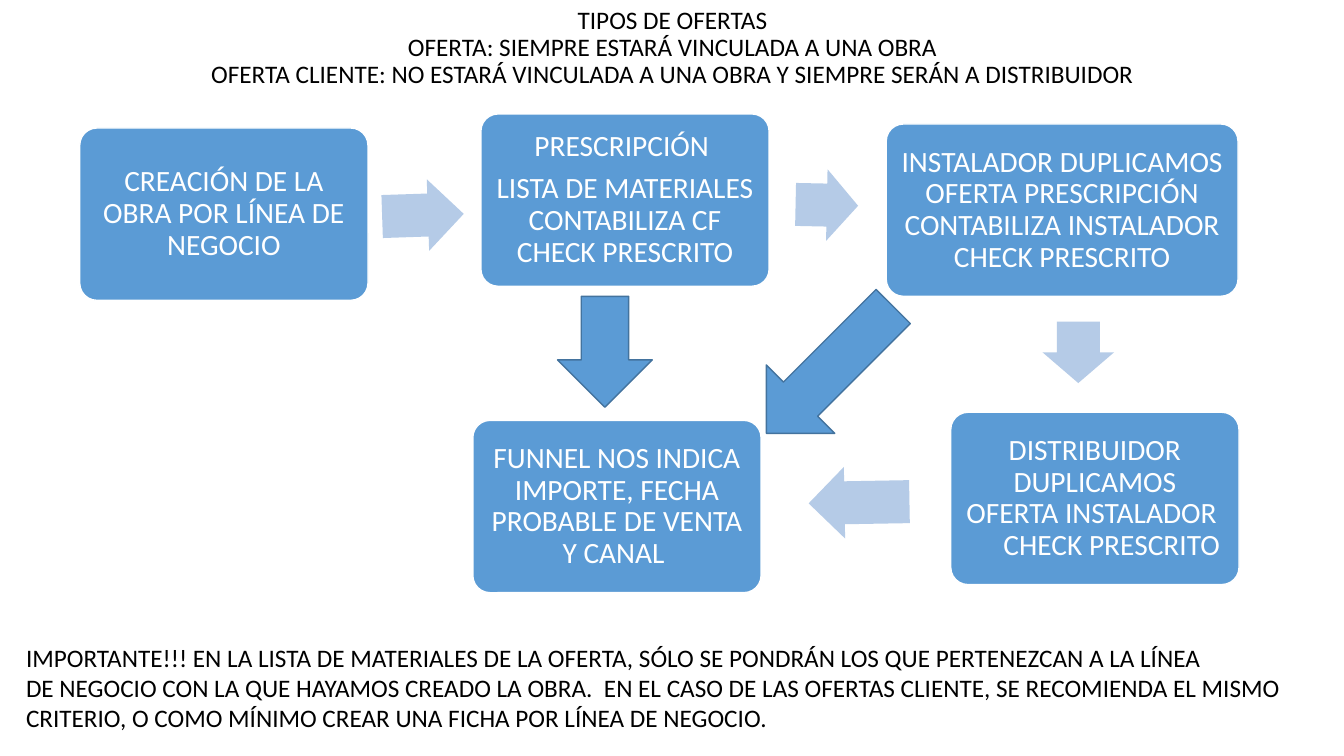
from dataclasses import dataclass

from pptx import Presentation
from pptx.dml.color import RGBColor
from pptx.enum.shapes import MSO_SHAPE
from pptx.enum.text import MSO_ANCHOR, PP_ALIGN
from pptx.util import Inches, Length, Pt

ROUNDED, ARROW = MSO_SHAPE.ROUNDED_RECTANGLE, MSO_SHAPE.RIGHT_ARROW
MIDDLE, TOP = MSO_ANCHOR.MIDDLE, MSO_ANCHOR.TOP
CENTER, LEFT = PP_ALIGN.CENTER, PP_ALIGN.LEFT

BLUE = RGBColor(0x5B, 0x9B, 0xD5)
DARK_BLUE = RGBColor(0x43, 0x73, 0x9E)
PALE_BLUE = RGBColor(0xB5, 0xCB, 0xE7)
WHITE = RGBColor(0xFF, 0xFF, 0xFF)
BLACK = RGBColor(0, 0, 0)

deck = Presentation()
deck.slide_width, deck.slide_height = Inches(13.33), Inches(7.5)
page = deck.slides.add_slide(deck.slide_layouts[6])


def across(share: float) -> Length:
    """Percentage of the slide width."""
    return Length(round(deck.slide_width * share / 100))


def down(share: float) -> Length:
    """Percentage of the slide height."""
    return Length(round(deck.slide_height * share / 100))


@dataclass(frozen=True)
class Step:
    left: float
    top: float
    lines: tuple[str, ...]
    width: float = 21.45
    height: float = 22.8
    gap: float = 7.35        # points after each paragraph
    last_indent: float = 0   # share of the width, last paragraph only


@dataclass(frozen=True)
class Arrow:
    center_x: float
    center_y: float
    length: float            # length and breadth are shares of the height
    turn: float
    breadth: float = 9.47
    shaft: float = 0.6
    fill: RGBColor = PALE_BLUE
    outline: RGBColor | None = None


STEPS = (
    Step(5.93, 16.93, ("CREACIÓN DE LA OBRA POR LÍNEA DE NEGOCIO",)),
    Step(35.78, 15.07, ("PRESCRIPCIÓN ",
                        "LISTA DE MATERIALES CONTABILIZA CF CHECK PRESCRITO")),
    Step(65.94, 16.4, ("INSTALADOR DUPLICAMOS OFERTA PRESCRIPCIÓN "
                       "CONTABILIZA INSTALADOR CHECK PRESCRITO",), width=26.18),
    Step(70.74, 54.53, ("DISTRIBUIDOR DUPLICAMOS OFERTA INSTALADOR ",
                        "CHECK PRESCRITO"), gap=0, last_indent=2.5),
    Step(35.18, 55.6, ("FUNNEL NOS INDICA IMPORTE, FECHA PROBABLE "
                       "DE VENTA Y CANAL ",)),
)

ARROWS = (
    Arrow(31.47, 28.47, 10.8, 358.1),
    Arrow(61.52, 27.13, 8.27, 1.2),
    Arrow(80.23, 46.6, 8.13, 90),
    Arrow(63.92, 66.47, 13.33, 179),
    Arrow(45.01, 46.53, 14.67, 90, 12.53, 0.5, BLUE, DARK_BLUE),
    Arrow(61.74, 48.93, 23.73, 135, 12.8, 0.5, BLUE, DARK_BLUE),
)

TITLE = ("TIPOS DE OFERTAS\v"
         "OFERTA: SIEMPRE ESTARÁ VINCULADA A UNA OBRA\v"
         "OFERTA CLIENTE: NO ESTARÁ VINCULADA A UNA OBRA Y SIEMPRE SERÁN A DISTRIBUIDOR")
NOTE = (
    "IMPORTANTE!!! EN LA LISTA DE MATERIALES DE LA OFERTA, SÓLO SE PONDRÁN "
    "LOS QUE PERTENEZCAN A LA LÍNEA",
    "DE NEGOCIO CON LA QUE HAYAMOS CREADO LA OBRA.  EN EL CASO DE LAS OFERTAS "
    "CLIENTE, SE RECOMIENDA EL MISMO",
    "CRITERIO, O COMO MÍNIMO CREAR UNA FICHA POR LÍNEA DE NEGOCIO.",
)


def write(box, lines: tuple[str, ...], size: float, color: RGBColor,
          align: PP_ALIGN, anchor: MSO_ANCHOR, spacing: float = 1, gap: float = 0) -> None:
    frame = box.text_frame
    frame.word_wrap = True
    frame.vertical_anchor = anchor
    frame.text = "\n".join(lines)
    for para in frame.paragraphs:
        para.alignment = align
        para.line_spacing = spacing
        para.space_after = Pt(gap)
        for span in para.runs:
            span.font.name = "Calibri"
            span.font.size = Pt(size)
            span.font.color.rgb = color


def draw_step(step: Step) -> None:
    card = page.shapes.add_shape(ROUNDED, across(step.left), down(step.top),
                                 across(step.width), down(step.height))
    card.shadow.inherit = False
    card.adjustments[0] = 0.1
    card.fill.solid()
    card.fill.fore_color.rgb = BLUE
    card.line.color.rgb = WHITE
    card.line.width = Pt(1)
    frame = card.text_frame
    frame.margin_left = frame.margin_right = Inches(0.09)
    frame.margin_top = frame.margin_bottom = Inches(0.09)
    write(card, step.lines, 21, WHITE, CENTER, MIDDLE, 0.9, step.gap)
    if step.last_indent:
        properties = frame.paragraphs[-1]._p.get_or_add_pPr()
        properties.set("marL", str(across(step.last_indent)))


def draw_arrow(arrow: Arrow) -> None:
    length, breadth = down(arrow.length), down(arrow.breadth)
    shape = page.shapes.add_shape(ARROW, across(arrow.center_x) - length // 2,
                                  down(arrow.center_y) - breadth // 2, length, breadth)
    shape.shadow.inherit = False
    shape.rotation = arrow.turn
    shape.adjustments[0] = arrow.shaft
    shape.adjustments[1] = 0.5
    shape.fill.solid()
    shape.fill.fore_color.rgb = arrow.fill
    if arrow.outline is None:
        shape.line.fill.background()
    else:
        shape.line.color.rgb = arrow.outline
        shape.line.width = Pt(1)


# Heading
title = page.shapes.add_textbox(across(6.9), down(0.8), across(86.27), down(11.2))
write(title, (TITLE,), 18, BLACK, CENTER, MIDDLE, 0.9)

# Flow of the offer
for step in STEPS:
    draw_step(step)
for arrow in ARROWS:
    draw_arrow(arrow)

# Closing remark
note = page.shapes.add_textbox(across(1.2), down(84.27), across(95.8), down(13.47))
write(note, NOTE, 18, BLACK, LEFT, TOP)

deck.save("out.pptx")
